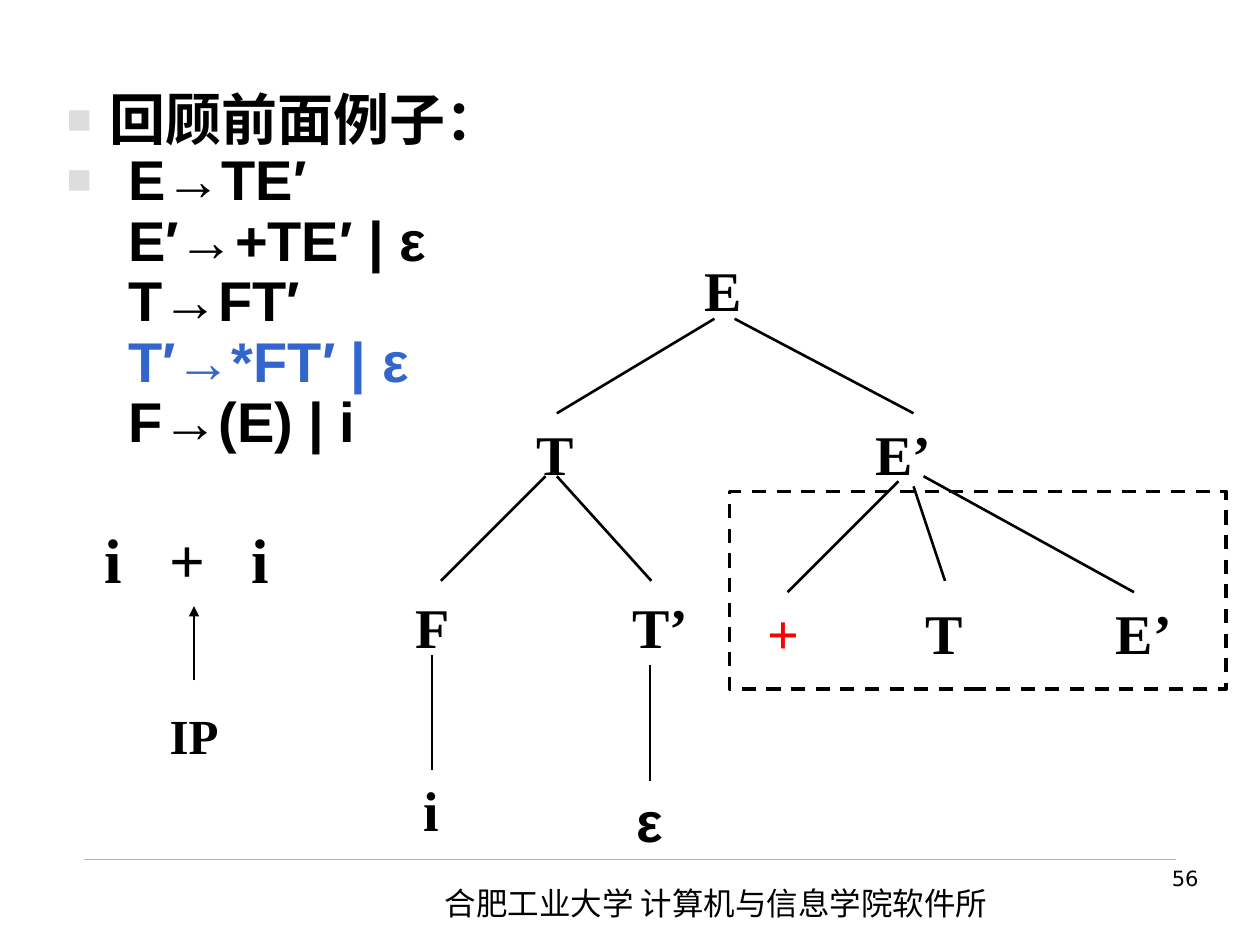
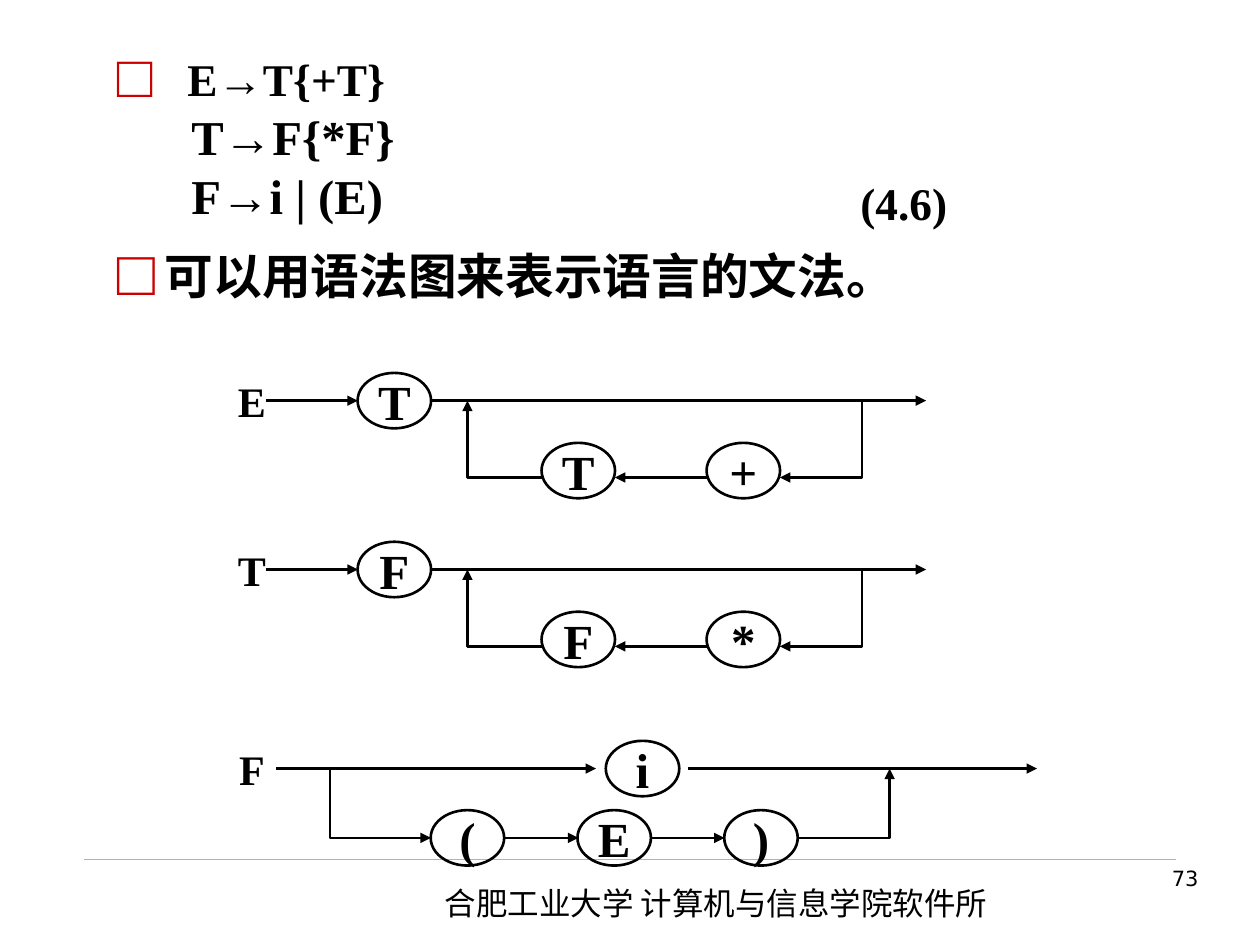
from lxml.etree import SubElement
from pptx import Presentation
from pptx.dml.color import RGBColor
from pptx.enum.dml import MSO_LINE
from pptx.enum.shapes import MSO_CONNECTOR, MSO_SHAPE
from pptx.enum.text import MSO_ANCHOR, PP_ALIGN
from pptx.oxml.ns import qn
from pptx.util import Inches, Pt

COLUMNS, ROWS = 100, 75
CELL = Inches(0.1)
COLORS = {
    "ink": "000000",
    "rule": "B2B2B2",
    "square": "DDDDDD",
    "outline": "CC0000",
    "highlight": "3366CC",
    "matched": "FF0000",
}
SERIF, SANS, CHINESE, NUMERAL = "Times New Roman", "Arial", "Noto Sans CJK SC", "DejaVu Sans"
FORMATS = {
    "footer": {"name": CHINESE, "size": Pt(18)},
    "number": {"name": NUMERAL, "size": Pt(12)},
    "input": {"name": SERIF, "size": Pt(36), "bold": True},
    "pointer": {"name": SERIF, "size": Pt(28), "bold": True},
    "tree": {"name": SERIF, "size": Pt(32), "bold": True},
    "grammar": {"name": SANS, "size": Pt(32), "bold": True},
    "rule": {"name": SERIF, "size": Pt(27.8), "bold": True},
    "small rule": {"name": SERIF, "size": Pt(25.9), "bold": True},
    "symbol": {"name": SERIF, "size": Pt(28), "bold": True},
    "diagram": {"name": SERIF, "size": Pt(24), "bold": True},
}


def cells(*counts):
    return [round(count * CELL) for count in counts]


def color(name):
    return RGBColor.from_string(COLORS[name])


def set_all(target, values):
    for name, value in values.items():
        setattr(target, name, value)


def add_span(para, text, style, ink="ink"):
    span = para.add_run()
    span.text = text
    set_all(span.font, FORMATS[style])
    span.font.color.rgb = color(ink)
    SubElement(span._r.get_or_add_rPr(), qn("a:ea"), typeface=CHINESE)


def add_box(page, left, top, width, height, wrap=True):
    box = page.shapes.add_textbox(*cells(left, top, width, height))
    box.text_frame.word_wrap = wrap
    return box.text_frame


def add_label(page, text, center, top, style="tree", ink="ink", height=6.4):
    frame = add_box(page, center - 5, top, 10, height, wrap=False)
    para = frame.paragraphs[0]
    para.alignment = PP_ALIGN.CENTER
    add_span(para, text, style, ink)
    return frame


def add_paragraph(frame, first, **layout):
    para = frame.paragraphs[0] if first else frame.add_paragraph()
    set_all(para, layout)
    return para


def set_indent(para, margin, indent):
    properties = para._p.get_or_add_pPr()
    for name, count in (("marL", margin), ("indent", indent)):
        properties.set(name, str(*cells(count)))


def add_bullet(para, mark, ink, font, percent):
    properties = para._p.get_or_add_pPr()
    holder = SubElement(properties, qn("a:buClr"))
    SubElement(holder, qn("a:srgbClr"), val=COLORS[ink])
    SubElement(properties, qn("a:buSzPct"), val=str(percent * 1000))
    SubElement(properties, qn("a:buFont"), typeface=font)
    SubElement(properties, qn("a:buChar"), char=mark)


def add_tabs(para, *stops):
    tabs = SubElement(para._p.get_or_add_pPr(), qn("a:tabLst"))
    for stop in cells(*stops):
        SubElement(tabs, qn("a:tab"), pos=str(stop), algn="l")


def style_line(shape, ink="ink", width=1.5, arrow=False):
    shape.line.color.rgb = color(ink)
    shape.line.width = Pt(width)
    if arrow:
        outline = shape._element.spPr.find(qn("a:ln"))
        SubElement(outline, qn("a:tailEnd"), type="triangle")


def add_line(page, start, end, **look):
    line = page.shapes.add_connector(MSO_CONNECTOR.STRAIGHT, *cells(*start, *end))
    style_line(line, **look)
    SubElement(line._element.spPr, qn("a:effectLst"))


def add_bent_arrow(page, start, *corners):
    builder = page.shapes.build_freeform(*cells(*start))
    builder.add_line_segments([cells(*corner) for corner in corners], close=False)
    bend = builder.convert_to_shape()
    bend.shadow.inherit = False
    bend.fill.background()
    style_line(bend, arrow=True)


def add_outline(page, preset, left, top, width, height, line_width=1.5):
    shape = page.shapes.add_shape(preset, *cells(left, top, width, height))
    shape.shadow.inherit = False
    shape.fill.background()
    style_line(shape, width=line_width)
    return shape


def add_symbol(page, text, center, middle):
    oval = add_outline(page, MSO_SHAPE.OVAL, center - 2.92, middle - 2.2, 5.83, 4.4)
    frame = oval.text_frame
    set_all(frame, {"word_wrap": False, "vertical_anchor": MSO_ANCHOR.MIDDLE})
    frame.paragraphs[0].alignment = PP_ALIGN.CENTER
    add_span(frame.paragraphs[0], text, "symbol")


def add_page(deck, number):
    page = deck.slides.add_slide(deck.slide_layouts[6])
    add_line(page, (6.7, 68.2), (93.3, 68.2), ink="rule", width=0.25)
    footer = add_box(page, 34.3, 69.7, 48, 4)
    add_span(footer.paragraphs[0], "合肥工业大学 计算机与信息学院软件所", "footer")
    corner = add_box(page, 74.4, 68.2, 21.7, 5.2)
    corner.paragraphs[0].alignment = PP_ALIGN.RIGHT
    add_span(corner.paragraphs[0], number, "number")
    return page


def add_grammar(page):
    frame = add_box(page, 4.3, 6.8, 44.3, 34.6)
    lines = [
        ("回顾前面例子：", 3.4, True, "ink"),
        ("E→TE′", 4.9, True, "ink"),
        ("E′→+TE′ | ε", 4.9, False, "ink"),
        ("T→FT′", 4.9, False, "ink"),
        ("T′→*FT′ | ε", 4.9, False, "highlight"),
        ("F→(E) | i", 4.9, False, "ink"),
    ]
    for index, (text, margin, bulleted, ink) in enumerate(lines):
        para = add_paragraph(frame, index == 0, line_spacing=0.9)
        set_indent(para, margin, -margin if bulleted else 0)
        if bulleted:
            add_bullet(para, "■", "square", SANS, 75)
        add_span(para, text, "grammar", ink)


def add_input(page):
    para = add_box(page, 7.3, 40.8, 18, 7).paragraphs[0]
    add_tabs(para, 5.2, 11.7)
    add_span(para, "i\t+\ti", "input")
    add_line(page, (15.4, 54), (15.4, 48.1), arrow=True)
    add_label(page, "IP", 15.4, 55.5, "pointer")


def add_tree(page):
    nodes = [
        ("E", 57.4, 19.8), ("T", 44.1, 32.8), ("E’", 71.7, 32.8),
        ("F", 34.3, 46.5), ("T’", 52.4, 46.5), ("i", 34.2, 61.1),
        ("T", 74.9, 47), ("E’", 90.8, 47),
    ]
    for text, center, top in nodes:
        add_label(page, text, center, top)
    add_label(page, "+", 62.2, 47, ink="matched")
    add_label(page, "ε", 51.6, 61.9, "grammar")
    branches = [
        ((56.7, 25.3), (44.2, 32.8)), ((58.3, 25.3), (72.5, 32.8)),
        ((43.3, 37.8), (35, 46.1)), ((44.2, 37.8), (51.7, 46.1)),
        ((34.3, 52), (34.3, 61.1)), ((51.6, 52.8), (51.6, 62)),
        ((71.3, 38.2), (62.5, 47)), ((72.5, 38.6), (75, 46.1)),
        ((73.3, 37.8), (90, 47)),
    ]
    for parent, child in branches:
        add_line(page, parent, child)
    frame = add_outline(page, MSO_SHAPE.RECTANGLE, 57.9, 39, 39.4, 15.7, line_width=2)
    frame.line.dash_style = MSO_LINE.DASH


def add_rules(page):
    frame = add_box(page, 8.3, 4.4, 86.7, 20)
    lines = [
        ("E→T{+T}", "small rule", 0, 5.6, -5.6),
        ("T→F{*F}", "rule", 7.5, 5.9, 0),
        ("F→i | (E)", "rule", 7, 5.9, 0),
        ("可以用语法图来表示语言的文法。", "rule", 18.7, 3.8, -3.8),
    ]
    for index, (text, style, before, margin, indent) in enumerate(lines):
        para = add_paragraph(frame, index == 0, line_spacing=0.8, space_before=Pt(before))
        set_indent(para, margin, indent)
        if indent < 0:
            add_bullet(para, "□", "outline", SERIF, 130)
        add_span(para, text, style)
    equation_number = add_box(page, 67.3, 13.4, 12, 5)
    add_span(equation_number.paragraphs[0], "(4.6)", "small rule")


def add_diagram_name(page, text, axis):
    frame = add_label(page, text, 20, axis - 1.65, "diagram", height=3.3)
    frame.vertical_anchor = MSO_ANCHOR.MIDDLE


def add_loop_diagram(page, name, item, separator, axis):
    low = axis + 6.1
    add_diagram_name(page, name, axis)
    for text, center, middle in ((item, 31.3, axis), (item, 45.9, axis + 5.55),
                                 (separator, 59, axis + 5.55)):
        add_symbol(page, text, center, middle)
    for start, end, row in ((21.1, 28.4, axis), (34.2, 73.5, axis), (56.1, 48.8, low)):
        add_line(page, (start, row), (end, row), arrow=True)
    add_bent_arrow(page, (68.4, axis), (68.4, low), (61.9, low))
    add_bent_arrow(page, (43, low), (37.1, low), (37.1, axis))


def add_choice_diagram(page, axis):
    low = axis + 5.5
    add_diagram_name(page, "F", axis)
    add_symbol(page, "i", 51, axis)
    for index, text in enumerate("(E)"):
        add_symbol(page, text, 37.1 + 11.65 * index, low)
    for start, end, row in ((21.9, 47.3, axis), (54.6, 82.3, axis),
                            (40.1, 45.9, low), (51.7, 57.5, low)):
        add_line(page, (start, row), (end, row), arrow=True)
    add_bent_arrow(page, (26.2, axis), (26.2, low), (34.2, low))
    add_bent_arrow(page, (63.4, low), (70.6, low), (70.6, axis))


def main():
    deck = Presentation()
    deck.slide_width, deck.slide_height = cells(COLUMNS, ROWS)

    page = add_page(deck, "56")
    add_input(page)
    add_tree(page)
    add_grammar(page)

    page = add_page(deck, "73")
    add_rules(page)
    add_loop_diagram(page, "E", "T", "+", 31.8)
    add_loop_diagram(page, "T", "F", "*", 45.2)
    add_choice_diagram(page, 61)

    deck.save("out.pptx")


if __name__ == "__main__":
    main()
